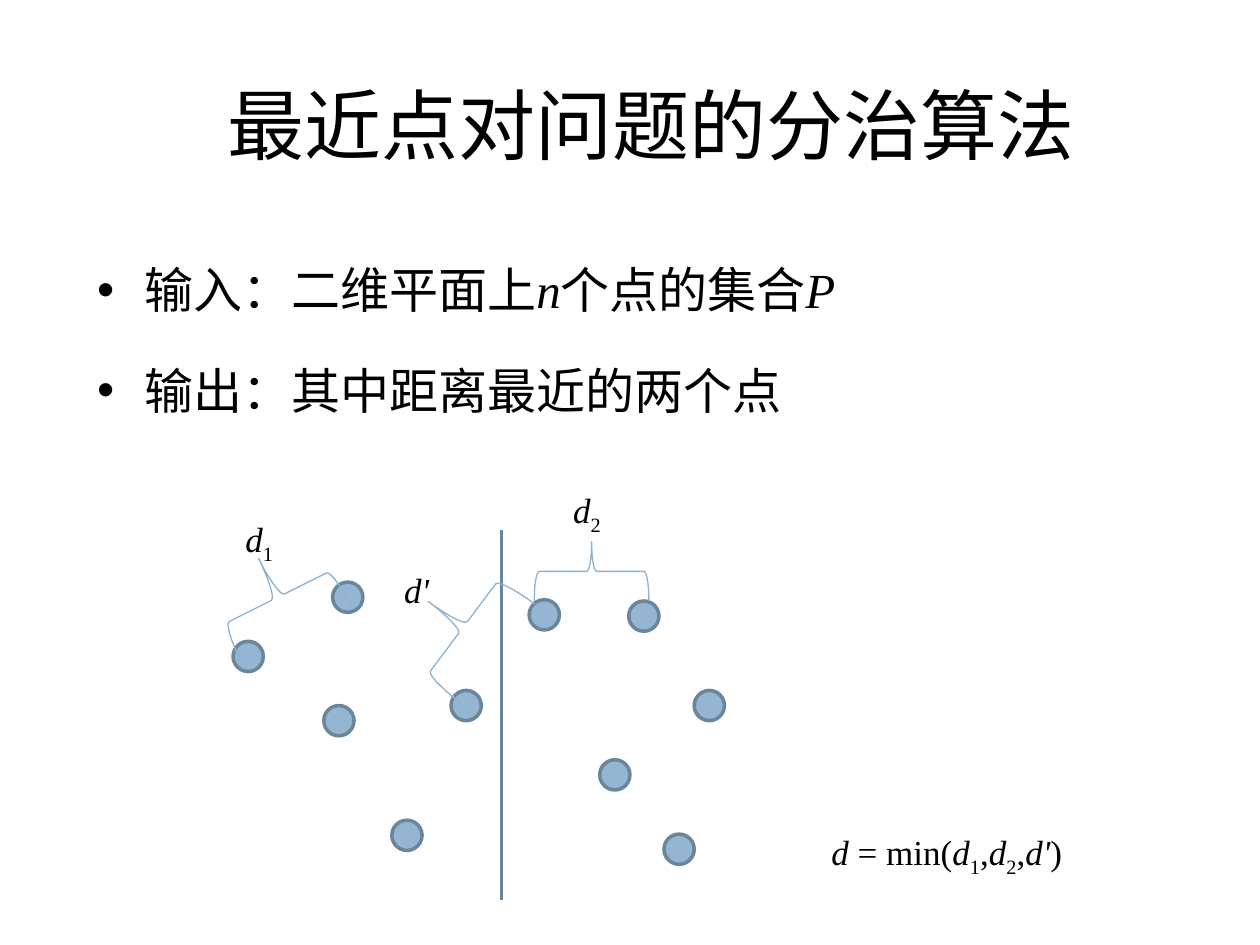
from lxml.etree import SubElement
from pptx import Presentation
from pptx.dml.color import RGBColor
from pptx.enum.shapes import MSO_CONNECTOR as Link, MSO_SHAPE as Kind
from pptx.enum.text import MSO_ANCHOR as Anchor, MSO_AUTO_SIZE as Auto, PP_ALIGN as Align
from pptx.oxml.ns import qn
from pptx.util import Inches, Pt

SERIF = "Times New Roman"
HAN = "Noto Sans CJK SC"
DOT = 0.24
POINTS = [(1.85, 5.09), (2.64, 4.62), (3.58, 5.48), (2.57, 5.6), (4.2, 4.76),
          (5.27, 6.62), (4.76, 6.03), (4.99, 4.77), (5.51, 5.48), (3.11, 6.51)]
BRACES = [((1.86, 4.25, 0.69, 0.98), 63.5), ((4.46, 4.08, 0.47, 0.91), 90),
          ((3.33, 4.49, 0.69, 0.98), 36.8)]
D1 = [("d", "i"), ("1", "sub")]
D2 = [("d", "i"), ("2", "sub")]
DP = [("d'", "i")]
COMMA = [(",", "")]
LABELS = [((1.85, 4.06, 0.47, 0.47), D1), ((4.45, 3.83, 0.47, 0.47), D2),
          ((3.11, 4.46, 0.47, 0.47), DP),
          ((6.5, 6.54, 2.21, 0.47), [("d", "i"), (" = min(", "")] + D1 + COMMA
           + D2 + COMMA + DP + [(")", "")])]
ITEMS = [(SERIF, [("输入：二维平面上", ""), ("n", "i"), ("个点的集合", ""), ("P", "i")]),
         (HAN, [("输出：其中距离最近的两个点", "")])]


def color(text):
    return RGBColor.from_string(text)


def box(at):
    return [Inches(n) for n in at]


def place(shape, at):
    shape.left, shape.top, shape.width, shape.height = box(at)


def stroke(shape, tint, width):
    shape.line.color.rgb = color(tint)
    shape.line.width = Pt(width)


def write(para, parts, face, size):
    for text, style in parts:
        run = para.add_run()
        run.text = text
        run.font.name = face
        run.font.size = Pt(size)
        run.font.italic = style == "i"
        run.font.color.rgb = color("000000")
        props = run._r.get_or_add_rPr()
        SubElement(props, qn("a:ea"), typeface=HAN)
        if style == "sub":
            props.set("baseline", "-25000")


def add_title(slide):
    title = slide.shapes.title
    place(title, (0.43, 0.36, 9.34, 1.25))
    frame = title.text_frame
    frame.auto_size = Auto.NONE
    frame.vertical_anchor = Anchor.MIDDLE
    para = frame.paragraphs[0]
    para.alignment = Align.CENTER
    write(para, [(" 最近点对问题的分治算法", "")], "Calibri", 44)


def add_list(slide):
    body = slide.placeholders[1]
    place(body, (0.67, 1.78, 8.58, 1.65))
    frame = body.text_frame
    frame.auto_size = Auto.NONE
    for i, (face, parts) in enumerate(ITEMS):
        para = frame.add_paragraph() if i else frame.paragraphs[0]
        para.line_spacing = 1.5
        para.space_before = Pt(7 if i else 0)
        props = para._p.get_or_add_pPr()
        props.set("marL", str(Inches(0.38)))
        props.set("indent", str(-Inches(0.38)))
        SubElement(props, qn("a:buChar"), char="•")
        write(para, parts, face, 28)


def add_dot(slide, left, top):
    dot = slide.shapes.add_shape(Kind.OVAL, *box((left, top, DOT, DOT)))
    dot.shadow.inherit = False
    dot.fill.solid()
    dot.fill.fore_color.rgb = color("94B6D2")
    stroke(dot, "6B859A", 2)


def add_split(slide):
    line = slide.shapes.add_connector(Link.STRAIGHT, *box((3.98, 4.21, 3.98, 7.14)))
    stroke(line, "6B859A", 2)
    SubElement(line._element.spPr, qn("a:effectLst"))


def add_brace(slide, at, turn):
    brace = slide.shapes.add_shape(Kind.LEFT_BRACE, *box(at))
    brace.shadow.inherit = False
    brace.rotation = turn
    brace.fill.background()
    stroke(brace, "8FB2CF", 0.75)


def add_label(slide, at, parts):
    frame = slide.shapes.add_textbox(*box(at)).text_frame
    frame.word_wrap = True
    write(frame.paragraphs[0], parts, SERIF, 20)


def main():
    deck = Presentation()
    deck.slide_width, deck.slide_height = Inches(10), Inches(7.5)
    slide = deck.slides.add_slide(deck.slide_layouts[1])
    add_title(slide)
    add_list(slide)
    for left, top in POINTS:
        add_dot(slide, left, top)
    add_split(slide)
    for at, turn in BRACES:
        add_brace(slide, at, turn)
    for at, parts in LABELS:
        add_label(slide, at, parts)
    deck.save("out.pptx")


if __name__ == "__main__":
    main()
